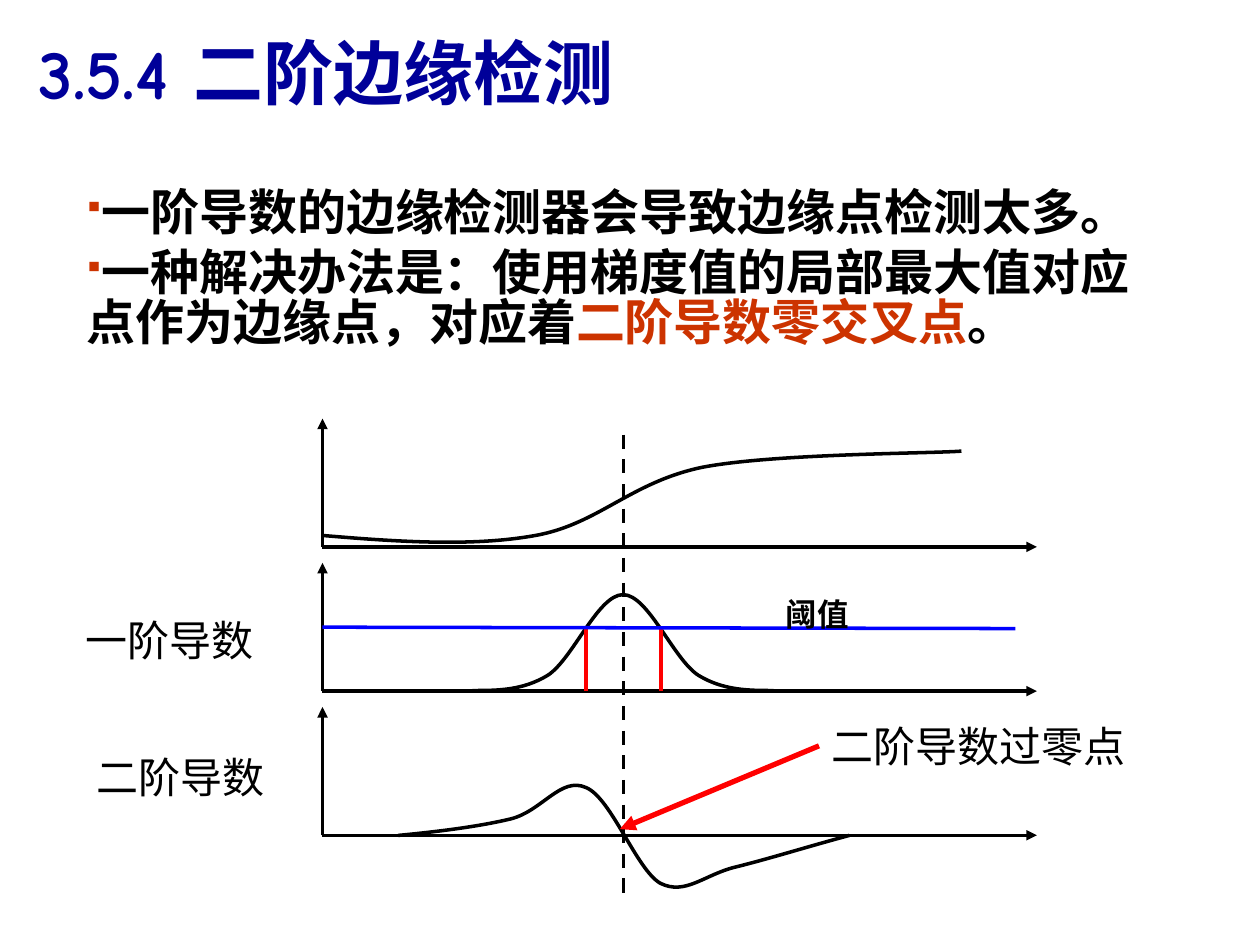
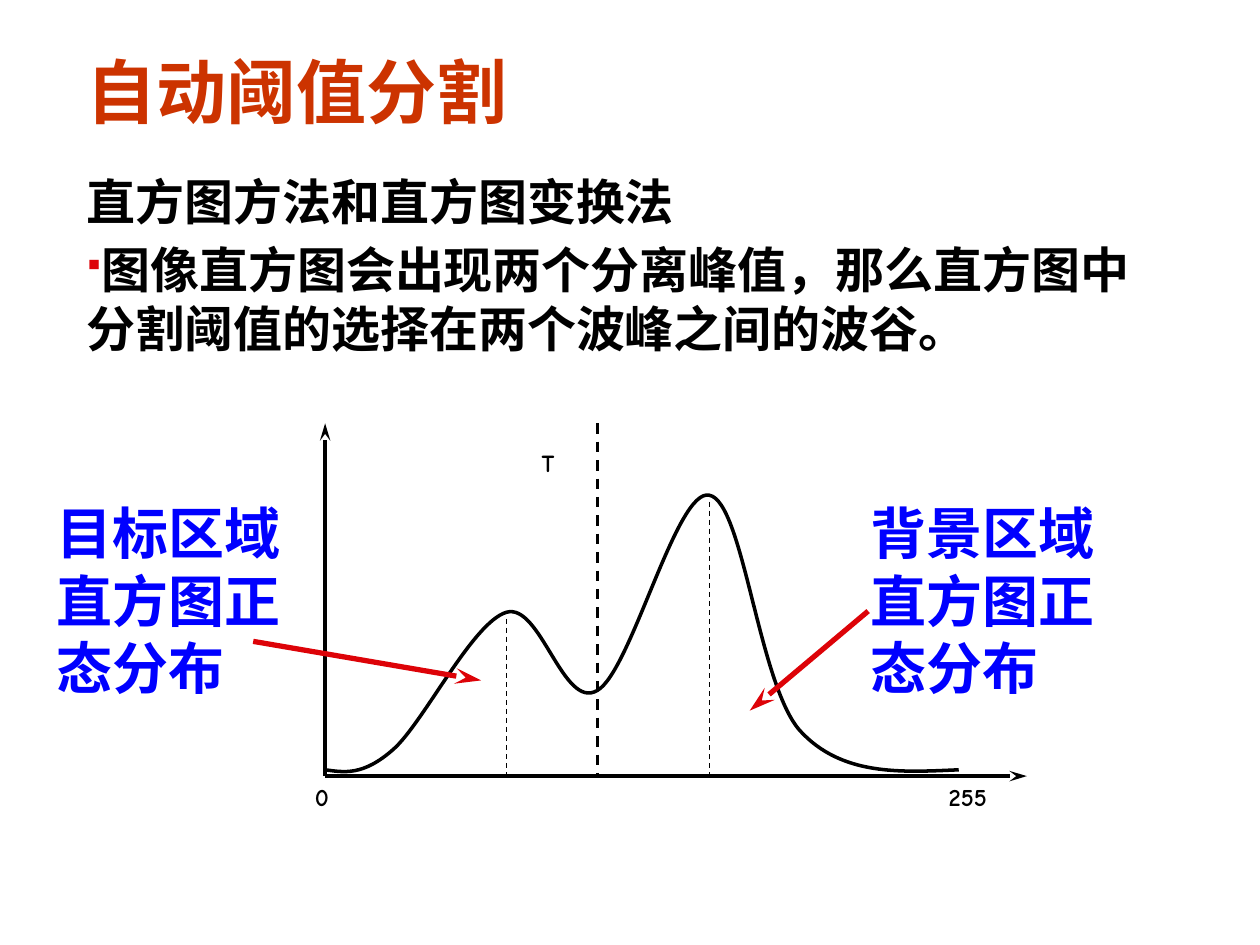
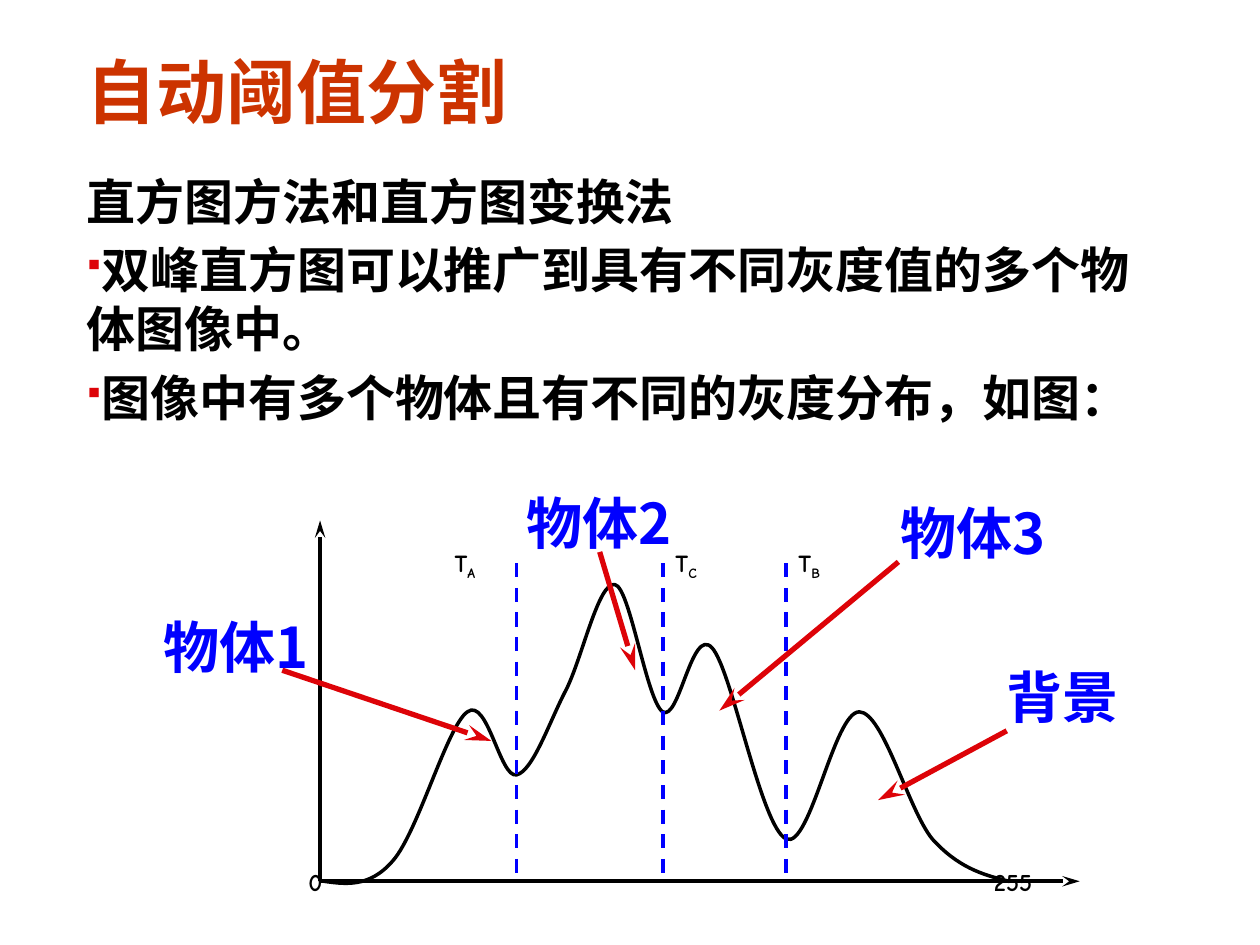
from lxml.etree import SubElement
from pptx import Presentation
from pptx.dml.color import RGBColor
from pptx.enum.dml import MSO_LINE_DASH_STYLE as Dash
from pptx.enum.lang import MSO_LANGUAGE_ID as Lang
from pptx.enum.shapes import MSO_CONNECTOR as Connector
from pptx.enum.text import MSO_ANCHOR as Anchor, PP_ALIGN as Align
from pptx.oxml.ns import qn
from pptx.util import Pt

COMIC, NOTO = "Comic Neue", "Noto Sans CJK SC"
BLACK, NAVY, BLUE = "000000", "000099", "0000FF"
BRICK, CRIMSON, RED = "CC3300", "DD0308", "FF0000"
TRIANGLE = {"type": "triangle"}
STEALTH = {"type": "stealth", "len": "lg"}


def rgb(value):
    return RGBColor.from_string(value)


class Deck:
    """Shared style and the slide being drawn."""

    def __init__(self):
        self.prs = Presentation()
        self.prs.slide_width, self.prs.slide_height = Pt(720), Pt(540)
        self.shapes = None

    def new_slide(self):
        self.shapes = self.prs.slides.add_slide(self.prs.slide_layouts[6]).shapes

    def frame(self, box, wrap=True, anchor=Anchor.TOP):
        frame = self.shapes.add_textbox(*map(Pt, box)).text_frame
        frame.word_wrap, frame.vertical_anchor = wrap, anchor
        return frame

    def run(self, paragraph, words, subscript=False, color=BLACK, **style):
        run = paragraph.add_run()
        run.text = words
        look = {"name": COMIC, "bold": True, "language_id": Lang.SIMPLIFIED_CHINESE, **style}
        for name, value in look.items():
            setattr(run.font, name, value)
        run.font.color.rgb = rgb(color)
        props = run._r.get_or_add_rPr()
        if subscript:
            props.set("baseline", "-25000")
        SubElement(props, qn("a:ea")).set("typeface", COMIC)

    def text(self, box, words, size, wrap=True, anchor=Anchor.TOP, **style):
        paragraph = self.frame(box, wrap, anchor).paragraphs[0]
        self.run(paragraph, words, size=Pt(size), **style)

    def title(self, words):
        self.text((42.5, 26, 623.5, 51), words, 40, anchor=Anchor.MIDDLE,
                  name=NOTO, color=BRICK)

    def mark(self, left, top, words, subscript=""):
        """Small label on a plot."""
        paragraph = self.frame((left, top, 56, 46)).paragraphs[0]
        paragraph.alignment = Align.JUSTIFY
        self.run(paragraph, words, size=Pt(14))
        if subscript:
            self.run(paragraph, subscript, subscript=True, size=Pt(14))

    def bullet(self, paragraph, color):
        props = paragraph._p.get_or_add_pPr()
        props.set("marL", "0")
        props.set("indent", "0")
        SubElement(SubElement(props, qn("a:buClr")), qn("a:srgbClr")).set("val", color)
        for tag, key, value in (("a:buSzPct", "val", "65000"),
                                ("a:buFont", "typeface", "Wingdings"),
                                ("a:buChar", "char", "§")):
            SubElement(props, qn(tag)).set(key, value)

    def body(self, box, items, bullet_color, spacing=1.0):
        """items: (bulleted, font, [(words, colour), ...])"""
        frame = self.frame(box)
        for index, (bulleted, font, parts) in enumerate(items):
            paragraph = frame.add_paragraph() if index else frame.paragraphs[0]
            if bulleted:
                self.bullet(paragraph, bullet_color)
            paragraph.line_spacing = spacing
            paragraph.space_before = Pt(5.6 if index else 0)
            for words, color in parts:
                self.run(paragraph, words, size=Pt(28), name=font, color=color)

    def line(self, x1, y1, x2, y2, color=BLACK, width=2, dash=None, arrow=None):
        line = self.shapes.add_connector(Connector.STRAIGHT, *map(Pt, (x1, y1, x2, y2)))
        line.line.color.rgb = rgb(color)
        line.line.width = Pt(width)
        if dash:
            line.line.dash_style = dash
        if arrow:
            SubElement(line.line._get_or_add_ln(), qn("a:tailEnd"), arrow)
        SubElement(line._element.spPr, qn("a:effectLst"))

    def axes(self, left, base, right, top, arrow):
        self.line(left, base, right, base, arrow=arrow)
        self.line(left, base, left, top, arrow=arrow)

    def curve(self, *knots):
        """Cubic curves through knots: anchor, control, control, anchor, ..."""
        start, *rest = [tuple(map(Pt, knot)) for knot in knots]
        builder = self.shapes.build_freeform(*start)
        builder.add_line_segments(rest, close=False)
        curve = builder.convert_to_shape()
        outline = next(curve._element.iter(qn("a:path")))
        segments = outline.findall(qn("a:lnTo"))
        for first in range(0, len(segments), 3):
            cubic = SubElement(outline, qn("a:cubicBezTo"))
            for segment in segments[first:first + 3]:
                cubic.append(segment[0])
                outline.remove(segment)
        curve.shadow.inherit = False
        curve.fill.background()
        curve.line.color.rgb = rgb(BLACK)
        curve.line.width = Pt(2)


def second_order_edges(deck):
    deck.new_slide()

    # Signal, first derivative and second derivative
    for base in (312.5, 394.9, 477.3):
        deck.axes(184.3, base, 592.5, base - 73.3, TRIANGLE)
    deck.curve((184.3, 306), (226.8, 309.6), (270, 312.5), (306, 306), (342, 299.5),
               (360, 275.8), (401, 267.1), (441.4, 259.2), (531.4, 259.2), (549.4, 257.8))
    bell = (394.6, 394.6, 394.6, 385.9, 376.6, 339.8, 339.8)
    deck.curve(*((270 + 14.34 * i, y) for i, y in enumerate(bell + bell[-2::-1])))
    deck.curve((227.5, 477.4), (250.6, 475.2), (273.6, 472.3), (291.6, 468), (309.6, 463.7),
               (320.4, 443.5), (334.8, 450), (349.2, 455.8), (363.6, 496.8), (377.3, 504.7),
               (391.7, 511.9), (402.5, 499.7), (420.5, 495.4), (438.5, 491), (461.5, 483.8),
               (485.3, 477.4))

    # Edge position and threshold
    deck.line(356.2, 248.4, 356.2, 514, dash=Dash.DASH)
    for crossing in (334.8, 377.6):
        deck.line(crossing, 358.6, crossing, 394.6, RED)
    deck.line(184.3, 358.4, 580.3, 359.2, BLUE)
    deck.text((442, 336.2, 129, 32), "阈值", 18)

    # Explanation
    deck.body((42.5, 105.2, 635, 312.5), [
        (True, NOTO, [("一阶导数的边缘检测器会导致边缘点检测太多。", BLACK)]),
        (True, NOTO, [("一种解决办法是：使用梯度值的局部最大值对应点作为边缘点，对应着", BLACK),
                      ("二阶导数零交叉点", BRICK), ("。", BLACK)]),
    ], BRICK, spacing=0.85)
    for left, top, width, words in ((41.8, 347.8, 126.7, "一阶导数"),
                                    (48.2, 426.2, 126.7, "二阶导数"),
                                    (468, 408.2, 210.2, "二阶导数过零点")):
        deck.text((left, top, width, 41), words, 24, wrap=False, bold=False)
    deck.line(468, 426.2, 354.2, 473.8, RED, 3, arrow=TRIANGLE)
    deck.text((15.1, 13.2, 391, 55.4), "3.5.4 二阶边缘检测", 40, color=NAVY)


def histogram_slide(deck, points):
    """Heading and points shared by the histogram slides."""
    deck.new_slide()
    deck.title("自动阈值分割")
    heading = (False, NOTO, [("直方图方法和直方图变换法", BLACK)])
    deck.body((42.5, 94.3, 635, 380),
              [heading] + [(True, COMIC, [(words, BLACK)]) for words in points], CRIMSON)


def two_peaks(deck):
    histogram_slide(deck, [
        "图像直方图会出现两个分离峰值，那么直方图中分割阈值的选择在两个波峰之间的波谷。"])

    # Histogram
    base = 443.5
    deck.axes(185.8, base, 586.8, 241.9, STEALTH)
    deck.curve((185.8, 439.9), (196.6, 441.4), (207.4, 443.5), (224.6, 428.4), (241.9, 413.3),
               (270, 355.7), (289.4, 349.9), (308.9, 344.2), (321.8, 406.1), (341.3, 394.6),
               (360.7, 383.8), (386.6, 278.6), (405.4, 283), (424.8, 286.6), (433.4, 391),
               (457.2, 417.6), (481, 443.5), (514.8, 441.4), (547.9, 439.9))
    for x, top, width in ((289.4, 353.5, 0.75), (405.4, 286.6, 0.75), (341.3, 241.9, 1.5)):
        deck.line(x, top, x, base, width=width, dash=Dash.DASH)
    for left, top, words in ((302.4, 252.7, "T"), (172.8, base, "0"), (535, base, "255")):
        deck.mark(left, top, words)

    # Regions
    for left, words, arrow in (
            (25.2, "目标区域直方图正态分布", (144.7, 366.5, 275, 388.8)),
            (490.3, "背景区域直方图正态分布", (496.1, 349.2, 428.4, 406.1))):
        deck.line(*arrow, CRIMSON, 3, arrow=STEALTH)
        deck.text((left, 281.5, 152.6, 122.4), words, 32, color=BLUE)


def many_peaks(deck):
    histogram_slide(deck, ["双峰直方图可以推广到具有不同灰度值的多个物体图像中。",
                           "图像中有多个物体且有不同的灰度分布，如图："])

    # Histogram
    base = 503.6
    deck.axes(182.9, base, 617, 297.4, STEALTH)
    deck.curve((182.9, 503.3), (197.3, 505.4), (211, 507.6), (224.6, 491.8), (239, 475.2),
               (255.6, 414.7), (267.1, 406.8), (278.6, 398.2), (285.8, 445), (295.2, 442.8),
               (304.6, 440.6), (313.9, 412.6), (323.3, 394.6), (332.6, 376.6), (342, 331.9),
               (351.4, 334.1), (360, 335.5), (369.4, 400.3), (378.7, 406.8), (388.1, 412.6),
               (395.3, 357.8), (406.8, 370.1), (418.3, 382.3), (434.9, 473), (449.3, 479.5),
               (463, 485.3), (476.6, 406.8), (491, 406.8), (504.7, 406.8), (519.1, 463),
               (532.8, 479.5), (547.2, 495.4), (560.9, 499.7), (575.3, 503.3))

    # Thresholds
    for threshold, left, letter in ((295.2, 252.7, "A"), (378.9, 378.9, "C"),
                                    (449.2, 449.2, "B")):
        deck.line(threshold, 321.8, threshold, base, BLUE, dash=Dash.DASH)
        deck.mark(left, 309.6, "T", letter)
    for left, words in ((169.2, "0"), (560.9, "255")):
        deck.mark(left, 491.8, words)

    # Objects
    for left, top, width, words, arrow in (
            (86.4, 346.6, 200, "物体1", (161.3, 383, 280.8, 423.4)),
            (293.8, 275.8, 174, "物体2", (342.7, 315.4, 362.9, 383)),
            (507.6, 281.5, 164, "物体3", (513.4, 321.1, 411.1, 406.1)),
            (568.1, 375.1, 121, "背景", (575.3, 417.6, 501.8, 457.2))):
        deck.line(*arrow, CRIMSON, 3, arrow=STEALTH)
        deck.text((left, top, width, 45.4), words, 32, name=NOTO, color=BLUE)


def main():
    deck = Deck()
    for draw in (second_order_edges, two_peaks, many_peaks):
        draw(deck)
    deck.prs.save("out.pptx")


if __name__ == "__main__":
    main()
